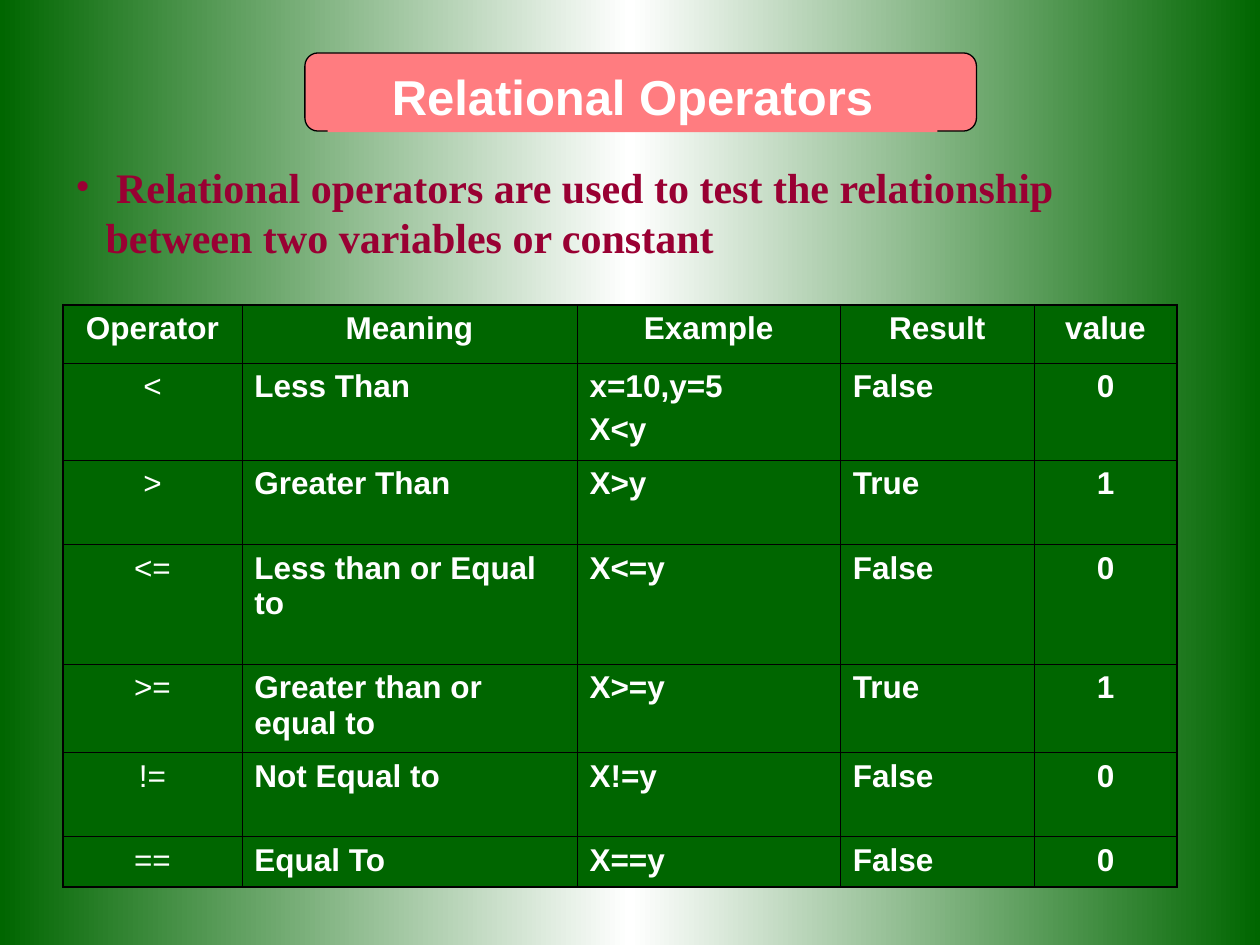
from copy import deepcopy
from dataclasses import dataclass

from lxml import etree
from pptx import Presentation
from pptx.dml.color import RGBColor
from pptx.enum.shapes import MSO_SHAPE
from pptx.enum.text import MSO_ANCHOR, PP_ALIGN
from pptx.oxml.ns import qn
from pptx.util import Inches, Pt

ALTERNATE_PROCESS = MSO_SHAPE.FLOWCHART_ALTERNATE_PROCESS
RECTANGLE = MSO_SHAPE.RECTANGLE
TOP = MSO_ANCHOR.TOP
CENTER, LEFT = PP_ALIGN.CENTER, PP_ALIGN.LEFT


@dataclass(frozen=True)
class Theme:
    green: RGBColor = RGBColor(0x00, 0x66, 0x00)
    white: RGBColor = RGBColor(0xFF, 0xFF, 0xFF)
    black: RGBColor = RGBColor(0x00, 0x00, 0x00)
    pink: RGBColor = RGBColor(0xFF, 0x7C, 0x80)
    maroon: RGBColor = RGBColor(0x99, 0x00, 0x33)
    sans: str = "Arial"
    serif: str = "Times New Roman"
    title_size: Pt = Pt(28)
    body_size: Pt = Pt(24)
    table_size: Pt = Pt(18)
    outer_border: Pt = Pt(1.08)
    inner_border: Pt = Pt(0.45)


theme = Theme()


def style_font(paragraph, name, size, color, bold=True):
    paragraph.font.name = name
    paragraph.font.size = size
    paragraph.font.color.rgb = color
    paragraph.font.bold = bold


def add_border(cell, side, width):
    properties = cell._tc.get_or_add_tcPr()
    line = etree.Element(qn(f"a:ln{side}"), w=str(int(width)))
    fill = etree.SubElement(line, qn("a:solidFill"))
    etree.SubElement(fill, qn("a:srgbClr"), val=str(theme.black))
    properties.append(line)


presentation = Presentation()
presentation.slide_width = Inches(10)
presentation.slide_height = Inches(7.5)
slide = presentation.slides.add_slide(presentation.slide_layouts[6])

background = slide.background.fill
background.gradient()
background.gradient_angle = 0
stop_list = next(slide.element.iter(qn("a:gsLst")))
stop_list.append(deepcopy(stop_list[0]))
stops = [(0, theme.green), (0.5, theme.white), (1, theme.green)]
for stop, (position, color) in zip(background.gradient_stops, stops):
    stop.position = position
    stop.color.rgb = color

banner = slide.shapes.add_group_shape()
frame = banner.shapes.add_shape(
    ALTERNATE_PROCESS, Inches(2.42), Inches(0.42), Inches(5.33), Inches(0.62))
title = banner.shapes.add_shape(
    RECTANGLE, Inches(2.6), Inches(0.48), Inches(4.84), Inches(0.57))
for shape in (frame, title):
    shape.shadow.inherit = False
    shape.fill.solid()
    shape.fill.fore_color.rgb = theme.pink
frame.line.color.rgb = theme.black
frame.line.width = Pt(0.75)
title.line.fill.background()
title.text_frame.word_wrap = True
title.text_frame.vertical_anchor = TOP
title.text_frame.text = "Relational Operators"
paragraph = title.text_frame.paragraphs[0]
paragraph.alignment = CENTER
style_font(paragraph, theme.sans, theme.title_size, theme.white)

rows = [
    ("Operator", "Meaning", "Example", "Result", "value"),
    ("<", "Less Than", "x=10,y=5\nX<y", "False", "0"),
    (">", "Greater Than", "X>y", "True", "1"),
    ("<=", "Less than or Equal to", "X<=y", "False", "0"),
    (">=", "Greater than or equal to", "X>=y", "True", "1"),
    ("!=", "Not Equal to", "X!=y", "False", "0"),
    ("==", "Equal To", "X==y", "False", "0"),
]
column_widths = [1.42, 2.66, 2.09, 1.54, 1.13]
row_heights = [0.46, 0.77, 0.67, 0.95, 0.7, 0.67, 0.4]
last_row, last_column = len(rows) - 1, len(column_widths) - 1

table = slide.shapes.add_table(
    len(rows), len(column_widths), Inches(0.5), Inches(2.42),
    Inches(sum(column_widths)), Inches(sum(row_heights))).table
for column, width in zip(table.columns, column_widths):
    column.width = Inches(width)
for row, height in zip(table.rows, row_heights):
    row.height = Inches(height)

for row_index, values in enumerate(rows):
    for column_index, value in enumerate(values):
        cell = table.cell(row_index, column_index)
        outer_sides = {
            "L": column_index == 0,
            "R": column_index == last_column,
            "T": row_index == 0,
            "B": row_index == last_row,
        }
        for side, is_outer in outer_sides.items():
            add_border(cell, side, theme.outer_border if is_outer else theme.inner_border)
        cell.fill.solid()
        cell.fill.fore_color.rgb = theme.green
        cell.text = value
        is_header = row_index == 0
        centered = is_header or column_index in (0, last_column)
        for paragraph_index, paragraph in enumerate(cell.text_frame.paragraphs):
            paragraph.alignment = CENTER if centered else LEFT
            if paragraph_index:
                paragraph.space_before = Pt(4.5)
            style_font(paragraph, theme.sans, theme.table_size, theme.white,
                       is_header or column_index > 0)

definition = slide.shapes.add_textbox(
    Inches(0.5), Inches(1.23), Inches(9.17), Inches(0.9))
definition.text_frame.word_wrap = True
definition.text_frame.text = (
    " Relational operators are used to test the relationship "
    "between two variables or constant")
paragraph = definition.text_frame.paragraphs[0]
properties = paragraph._p.get_or_add_pPr()
properties.set("marL", str(Inches(0.24)))
properties.set("indent", str(-Inches(0.24)))
bullet_color = etree.SubElement(properties, qn("a:buClr"))
etree.SubElement(bullet_color, qn("a:srgbClr"), val=str(theme.maroon))
etree.SubElement(properties, qn("a:buFont"), typeface=theme.serif)
etree.SubElement(properties, qn("a:buChar"), char="•")
style_font(paragraph, theme.serif, theme.body_size, theme.maroon)

presentation.save("out.pptx")
